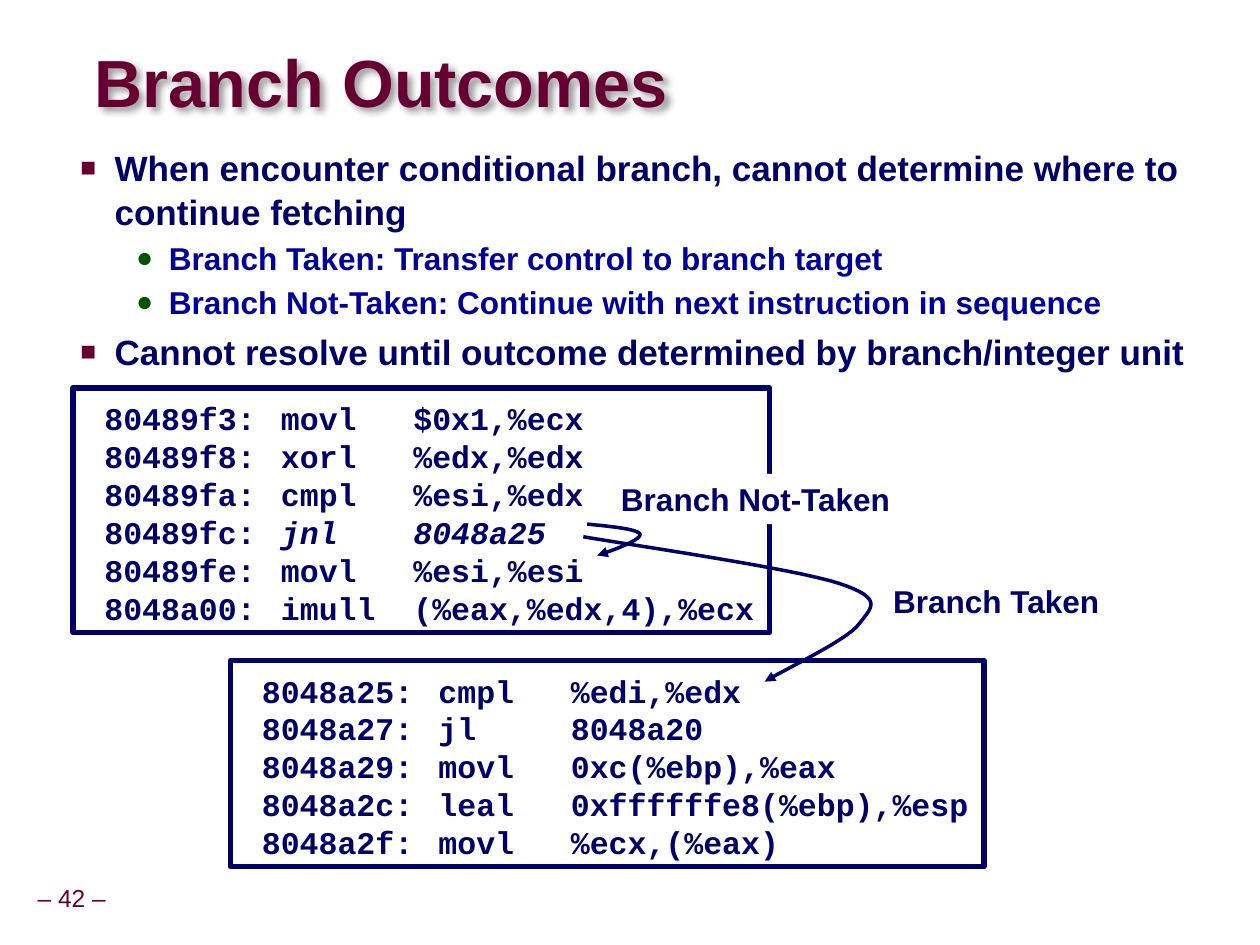
"""Build the slide on branch outcomes with two code listings."""
from dataclasses import dataclass

import lxml.etree
import pptx
import pptx.dml.color
import pptx.enum.text
import pptx.oxml
import pptx.oxml.ns
import pptx.util


@dataclass(frozen=True)
class Theme:
    """Colours, fonts and type sizes of the slide."""
    maroon: str = "660033"
    navy: str = "000066"
    blue: str = "000099"
    green: str = "005400"
    white: str = "FFFFFF"
    sans: str = "Arial"
    mono: str = "Courier New"
    title: int = 38
    point: int = 20
    detail: int = 18
    footer: int = 14


THEME = Theme()
WIDTH, HEIGHT = pptx.util.Inches(9.99), pptx.util.Inches(7.49)
COLUMN, ROW = WIDTH / 100, HEIGHT / 75
CODE_TABS = (0.74, 1.55, 3.9, 5.07)
LABEL = dict(size=THEME.detail, bold=True)

BULLETS = {
    1: dict(mark="■", mark_color=THEME.maroon, percent=75, margin=0.81, hanging=0.27,
            size=THEME.point, color=THEME.navy, spacing=1.04, before=5),
    2: dict(mark="●", mark_color=THEME.green, percent=90, margin=1.24, hanging=0.26,
            size=THEME.detail, color=THEME.blue, spacing=1.07, before=2),
}
POINTS = [
    (1, "When encounter conditional branch, cannot determine where to continue fetching"),
    (2, "Branch Taken: Transfer control to branch target"),
    (2, "Branch Not-Taken: Continue with next instruction in sequence"),
    (1, "Cannot resolve until outcome determined by branch/integer unit"),
]
FALL_THROUGH_CODE = [
    ("80489f3", "movl   $0x1,%ecx"),
    ("80489f8", "xorl   %edx,%edx"),
    ("80489fa", "cmpl   %esi,%edx"),
    ("80489fc", "jnl    8048a25"),
    ("80489fe", "movl   %esi,%esi"),
    ("8048a00", "imull  (%eax,%edx,4),%ecx"),
]
TARGET_CODE = [
    ("8048a25", "cmpl   %edi,%edx"),
    ("8048a27", "jl     8048a20"),
    ("8048a29", "movl   0xc(%ebp),%eax"),
    ("8048a2c", "leal   0xffffffe8(%ebp),%esp"),
    ("8048a2f", "movl   %ecx,(%eax)"),
]
NOT_TAKEN_CURVE = [(46.6, 41.6), (48.6, 41.8), (50.6, 42), (50.8, 42.4),
                   (50.9, 42.8), (49.2, 43.5), (47.4, 44.1)]
TAKEN_CURVE = [(46.3, 42.6), (49.7, 43.2), (62.9, 45.1), (66.6, 46.3), (70.2, 47.5),
               (69.2, 48.2), (68.2, 49.5), (67.3, 50.8), (62.3, 53.1), (60.7, 54.1)]


def rgb(color):
    """Turn a hexadecimal colour into a colour value."""
    return pptx.dml.color.RGBColor.from_string(color)


def add_element(parent, tag, **attributes):
    """Append a drawing element to a parent and return it."""
    element = lxml.etree.SubElement(parent, pptx.oxml.ns.qn(tag))
    for name, value in attributes.items():
        element.set(name, str(value))
    return element


def add_box(slide, left, top, width, height, *, margins=(0.1, 0.05), wrap=False,
            anchor="TOP", fill=None, line=None):
    """Add a text box placed on the grid and return its shape."""
    shape = slide.shapes.add_textbox(round(left * COLUMN), round(top * ROW),
                                     round(width * COLUMN), round(height * ROW))
    frame = shape.text_frame
    frame.word_wrap = wrap
    frame.vertical_anchor = pptx.enum.text.MSO_ANCHOR[anchor]
    frame.margin_left = frame.margin_right = pptx.util.Inches(margins[0])
    frame.margin_top = frame.margin_bottom = pptx.util.Inches(margins[1])
    if fill:
        shape.fill.solid()
        shape.fill.fore_color.rgb = rgb(fill)
    if line:
        shape.line.color.rgb = rgb(line)
        shape.line.width = pptx.util.Pt(3)
    return shape


def add_text(paragraph, text, *, size, color=THEME.navy, font=THEME.sans,
             bold=False, italic=False, spacing=None, align=None):
    """Add a formatted run of text to a paragraph."""
    if spacing:
        paragraph.line_spacing = spacing
    if align:
        paragraph.alignment = pptx.enum.text.PP_ALIGN[align]
    run = paragraph.add_run()
    run.text = text
    run.font.name = font
    run.font.size = pptx.util.Pt(size)
    run.font.color.rgb = rgb(color)
    run.font.bold = bold
    run.font.italic = italic


def paragraphs_for(shape, items):
    """Yield a paragraph of the shape with each item."""
    frame = shape.text_frame
    for index, item in enumerate(items):
        yield (frame.add_paragraph() if index else frame.paragraphs[0]), item


def add_label(slide, box, text, *, margins=(0.1, 0.05), anchor="TOP", fill=None, **text_format):
    """Add a box with a single line of text and return its shape."""
    shape = add_box(slide, *box, margins=margins, anchor=anchor, fill=fill)
    add_text(shape.text_frame.paragraphs[0], text, **text_format)
    return shape


def add_title(slide, text):
    """Add the title with a soft shadow."""
    shape = add_label(slide, (7.5, 3.7, 64.9, 6.3), text, margins=(0, 0), anchor="MIDDLE",
                      size=THEME.title, color=THEME.maroon, bold=True, spacing=0.87)
    shape.text_frame.word_wrap = True
    effects = add_element(shape.element.spPr, "a:effectLst")
    shadow = add_element(effects, "a:outerShdw", blurRad=50800, dist=38100, dir=2700000)
    shade = add_element(shadow, "a:srgbClr", val="000000")
    add_element(shade, "a:alpha", val=40000)


def add_bullets(slide, points):
    """Add the two-level bullet list."""
    shape = add_box(slide, 0, 10.8, 95.7, 20, margins=(0.1, 0.07), wrap=True)
    for paragraph, (level, text) in paragraphs_for(shape, points):
        style = BULLETS[level]
        paragraph.level = level - 1
        properties = paragraph._p.get_or_add_pPr()
        properties.set("marL", str(pptx.util.Inches(style["margin"])))
        properties.set("indent", str(-pptx.util.Inches(style["hanging"])))
        color = add_element(properties, "a:buClr")
        add_element(color, "a:srgbClr", val=style["mark_color"])
        add_element(properties, "a:buSzPct", val=style["percent"] * 1000)
        add_element(properties, "a:buFont", typeface=THEME.sans)
        add_element(properties, "a:buChar", char=style["mark"])
        if paragraph is not None and text != points[0][1]:
            paragraph.space_before = pptx.util.Pt(style["before"])
        add_text(paragraph, text, size=style["size"], color=style["color"],
                 bold=True, spacing=style["spacing"])


def add_listing(slide, box, lines, branch=None):
    """Add a framed code listing with the branch instruction in italics."""
    shape = add_box(slide, *box, margins=(0.1, 0.09), line=THEME.navy)
    code = dict(size=THEME.detail, font=THEME.mono, bold=True, spacing=pptx.util.Pt(21.6))
    for paragraph, (address, instruction) in paragraphs_for(shape, lines):
        tabs = add_element(paragraph._p.get_or_add_pPr(), "a:tabLst")
        for position in CODE_TABS:
            add_element(tabs, "a:tab", pos=pptx.util.Inches(position), algn="l")
        add_text(paragraph, f" {address}:\t", **code)
        add_text(paragraph, instruction, italic=address == branch, **code)


def curve_points(controls, steps=16):
    """Return points along a chain of cubic curves."""
    points = [controls[0]]
    for start in range(0, len(controls) - 1, 3):
        for step in range(1, steps + 1):
            t = step / steps
            weights = ((1 - t) ** 3, 3 * t * (1 - t) ** 2, 3 * t * t * (1 - t), t ** 3)
            segment = controls[start:start + 4]
            points.append(tuple(sum(weight * point[axis] for weight, point in zip(weights, segment))
                                for axis in (0, 1)))
    return points


def add_curved_arrow(slide, controls):
    """Add a curved line that ends in an arrowhead."""
    points = [(round(x * COLUMN), round(y * ROW)) for x, y in curve_points(controls)]
    builder = slide.shapes.build_freeform(*points[0], scale=1.0)
    builder.add_line_segments(points[1:], close=False)
    shape = builder.convert_to_shape()
    shape.shadow.inherit = False
    shape.fill.background()
    shape.line.color.rgb = rgb(THEME.navy)
    shape.line.width = pptx.util.Pt(2)
    add_element(shape.line._get_or_add_ln(), "a:tailEnd", type="triangle")


def main():
    """Build and save the presentation."""
    presentation = pptx.Presentation()
    presentation.slide_width, presentation.slide_height = WIDTH, HEIGHT
    slide = presentation.slides.add_slide(presentation.slide_layouts[6])
    add_label(slide, (2.3, 69.8, 6.8, 3.2), "– 42 –", margins=(0.05, 0.05), anchor="MIDDLE",
              size=THEME.footer, color=THEME.maroon, spacing=0.9, align="CENTER")
    add_title(slide, "Branch Outcomes")
    add_bullets(slide, POINTS)
    add_listing(slide, (5.8, 30.8, 55.3, 19.4), FALL_THROUGH_CODE, branch="80489fc")
    add_curved_arrow(slide, NOT_TAKEN_CURVE)
    add_label(slide, (48.3, 37.6, 23.5, 4), "Branch Not-Taken", fill=THEME.white, **LABEL)
    add_listing(slide, (18.3, 52.4, 59.8, 16.4), TARGET_CODE)
    add_label(slide, (69.9, 45.7, 18.5, 4), "Branch Taken", **LABEL)
    add_curved_arrow(slide, TAKEN_CURVE)
    presentation.save("out.pptx")


if __name__ == "__main__":
    main()
